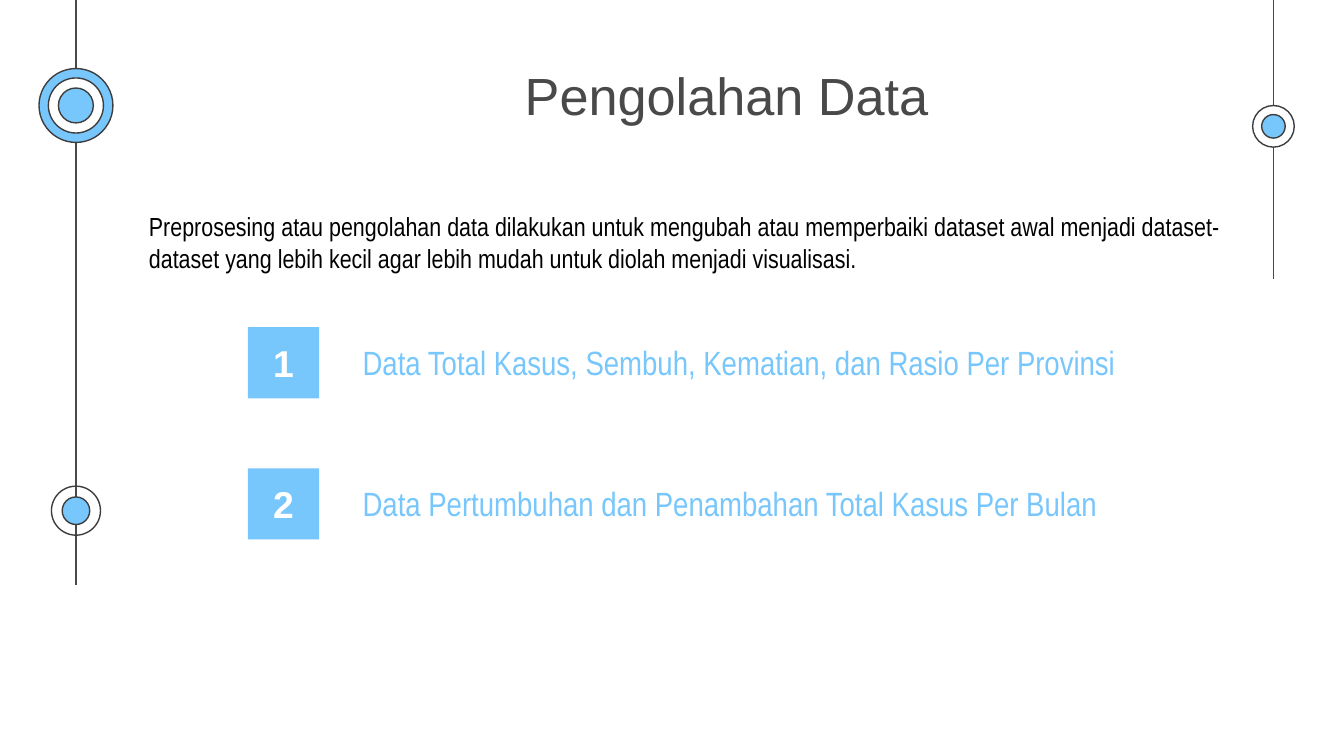
import pptx
import pptx.util
import pptx.dml.color
import pptx.enum.shapes
import pptx.enum.text
import pptx.oxml.ns
from dataclasses import dataclass
from lxml import etree

PX = 4572  # EMU per px, 200 px to the inch


@dataclass(frozen=True)
class Theme:
    blue: str = "77C6FC"
    grey: str = "494949"
    dark: str = "3D3D3D"
    white: str = "FFFFFF"
    black: str = "000000"
    wide: str = "Arial"
    slim: str = "Arial Narrow"
    title: int = 28
    body: int = 14
    item: int = 18
    num: int = 20
    line: float = 0.75


THEME = Theme()
ALIGN = pptx.enum.text.PP_ALIGN
ANCHOR = pptx.enum.text.MSO_ANCHOR
KIND = pptx.enum.shapes.MSO_SHAPE


def px(*sizes):
    return [round(size * PX) for size in sizes]


def rgb(code):
    return pptx.dml.color.RGBColor.from_string(code)


def write(shape, text, font, size, color, bold=False, align=ALIGN.LEFT,
          anchor=ANCHOR.TOP, pad=(20, 20)):
    """Fill a shape with one styled paragraph; pad is (side, top) in px."""
    frame = shape.text_frame
    frame.text = text
    frame.word_wrap = True
    frame.auto_size = pptx.enum.text.MSO_AUTO_SIZE.NONE
    frame.vertical_anchor = anchor
    frame.margin_left, frame.margin_top = px(*pad)
    frame.margin_right, frame.margin_bottom = px(*pad)
    para = frame.paragraphs[0]
    para.alignment = align
    style = para.runs[0].font
    style.name, style.size, style.bold = font, pptx.util.Pt(size), bold
    style.color.rgb = rgb(color)


def add_title(slide, text, box):
    title = slide.shapes.title
    title.left, title.top, title.width, title.height = px(*box)
    write(title, text, THEME.wide, THEME.title, THEME.grey,
          align=ALIGN.CENTER)


def add_text(slide, text, box, size, color, pad=(20, 20)):
    label = slide.shapes.add_textbox(*px(*box))
    write(label, text, THEME.slim, size, color, pad=pad)


def add_rail(slide, x, end):
    """Draw a vertical line from the top edge down to end."""
    rail = slide.shapes.add_connector(
        pptx.enum.shapes.MSO_CONNECTOR.STRAIGHT, *px(x, 0, x, end))
    rail.line.color.rgb = rgb(THEME.grey)
    rail.line.width = pptx.util.Pt(THEME.line)
    props = rail._element.spPr
    etree.SubElement(props, pptx.oxml.ns.qn("a:effectLst"))


def add_rings(slide, x, y, rings):
    """Draw concentric circles, given as (diameter, fill or None)."""
    for size, fill in rings:
        ring = slide.shapes.add_shape(
            KIND.OVAL, *px(x - size / 2, y - size / 2, size, size))
        ring.shadow.inherit = False
        if fill:
            ring.fill.solid()
            ring.fill.fore_color.rgb = rgb(fill)
        else:
            ring.fill.background()
        ring.line.color.rgb = rgb(THEME.dark)
        ring.line.width = pptx.util.Pt(THEME.line)


def add_item(slide, num, text, top):
    """Draw a numbered square with its label."""
    tile = slide.shapes.add_shape(KIND.RECTANGLE, *px(369, top, 106, 106))
    tile.shadow.inherit = False
    tile.fill.solid()
    tile.fill.fore_color.rgb = rgb(THEME.blue)
    tile.line.fill.background()
    write(tile, str(num), THEME.wide, THEME.num, THEME.white, bold=True,
          align=ALIGN.CENTER, anchor=ANCHOR.MIDDLE, pad=(20, 10))
    add_text(slide, text, (520, top + 2, 1206, 100), THEME.item, THEME.blue)


def main():
    deck = pptx.Presentation()
    deck.slide_width, deck.slide_height = px(2000, 1125)
    slide = deck.slides.add_slide(deck.slide_layouts.get_by_name("Title Only"))

    left, right = 113, 1895
    add_rail(slide, left, 870)
    add_rail(slide, right, 415)
    add_rings(slide, left, 760, [(73, None), (41, THEME.blue)])
    add_rings(slide, right, 188, [(62, THEME.white), (35, THEME.blue)])
    add_rings(slide, left, 157, [(110, THEME.blue), (82, THEME.white),
                                 (52, THEME.blue)])

    add_title(slide, "Pengolahan Data", (648, 74, 866, 126))
    add_text(slide, "Preprosesing atau pengolahan data dilakukan untuk "
             "mengubah atau memperbaiki dataset awal menjadi dataset-dataset "
             "yang lebih kecil agar lebih mudah untuk diolah menjadi "
             "visualisasi.",
             (202, 304, 1686, 114), THEME.body, THEME.black, pad=(20, 10))

    items = ["Data Total Kasus, Sembuh, Kematian, dan Rasio Per Provinsi",
             "Data Pertumbuhan dan Penambahan Total Kasus Per Bulan"]
    for i, text in enumerate(items):
        add_item(slide, i + 1, text, 487 + 210 * i)

    deck.save("out.pptx")


if __name__ == "__main__":
    main()
